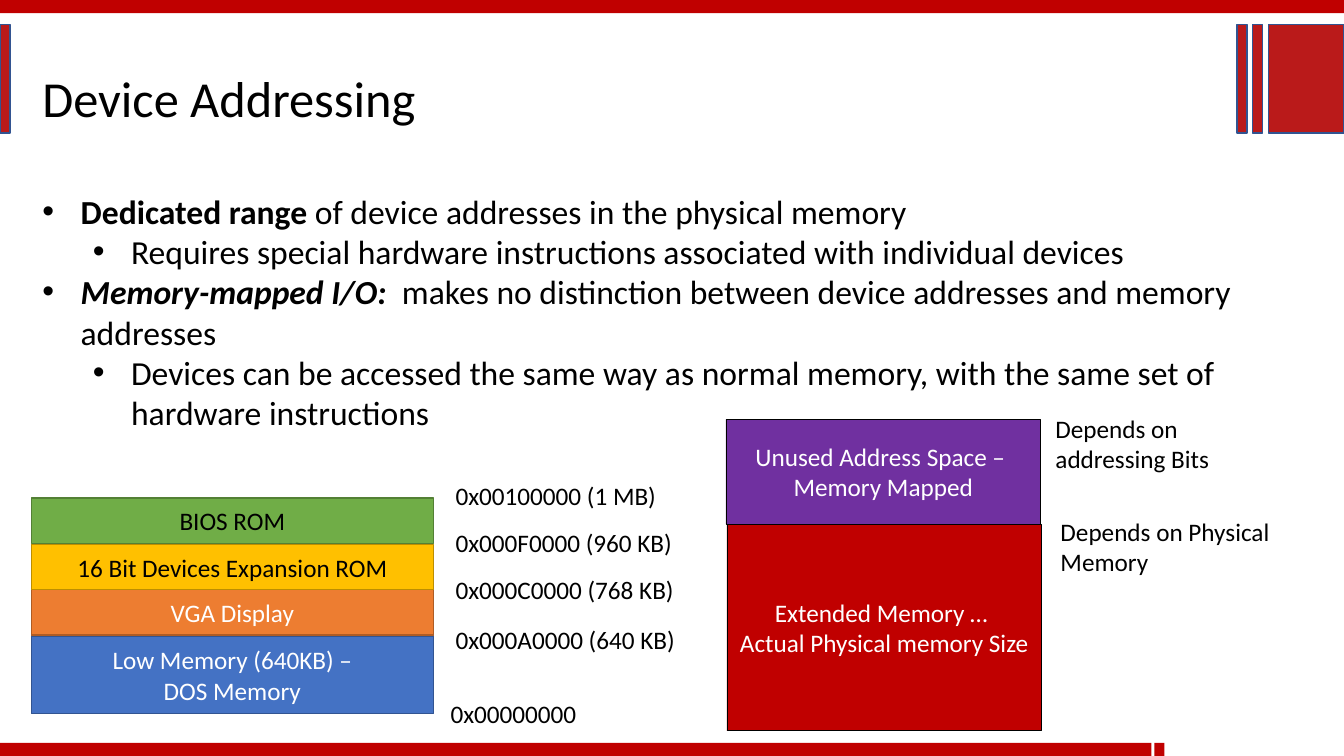
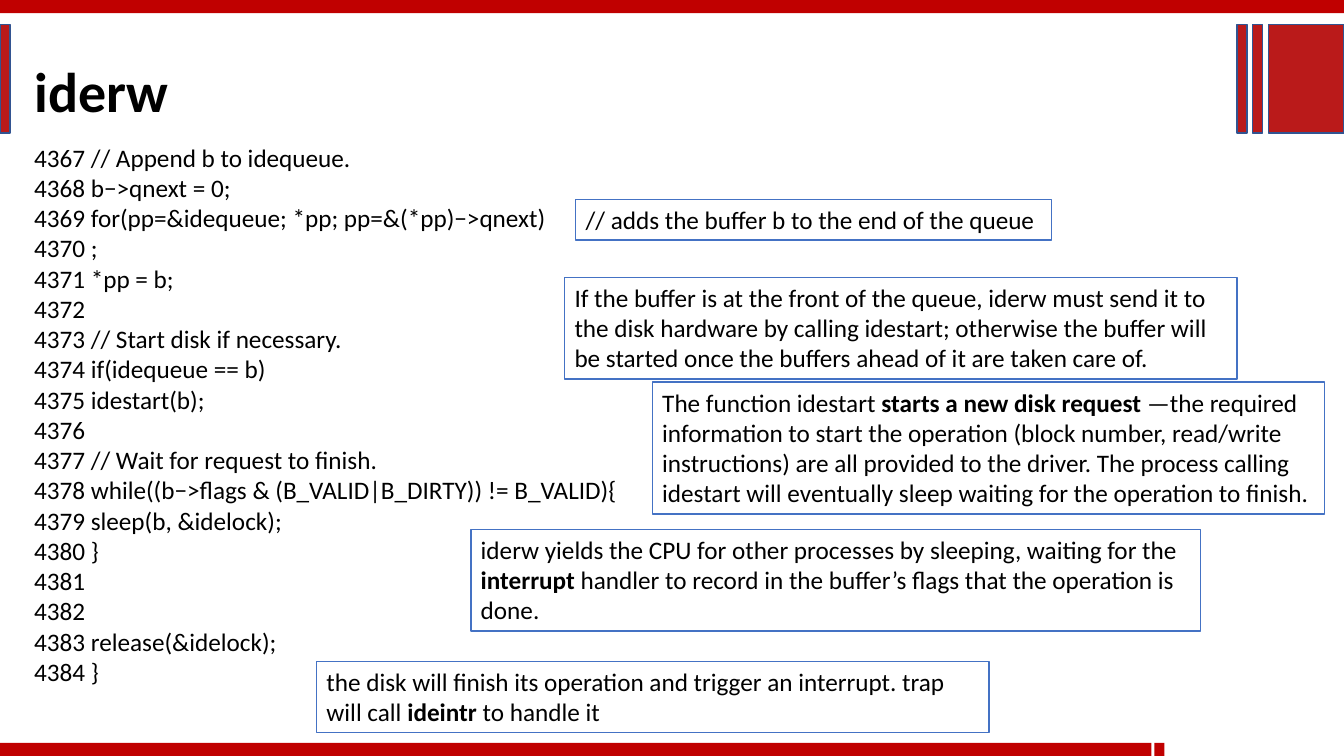
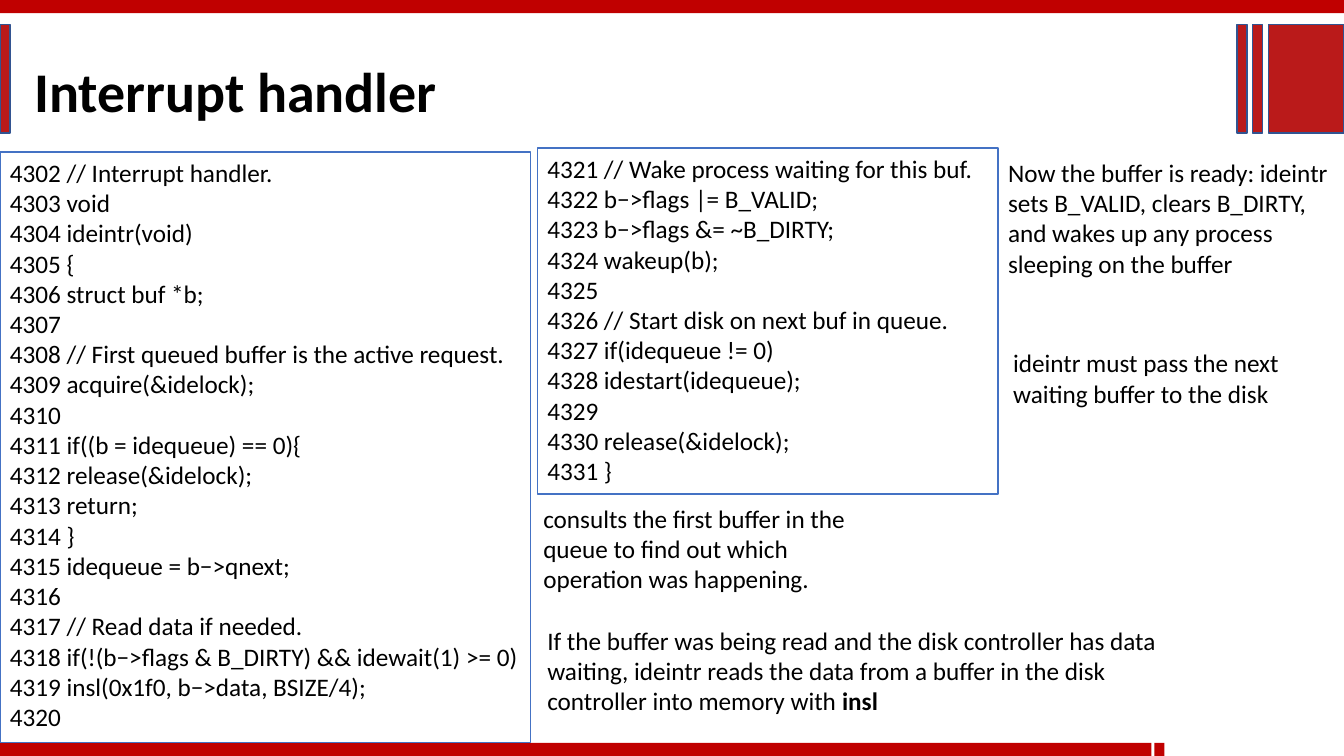
import pptx
import pptx.util
import pptx.oxml.ns
import pptx.dml.color
import pptx.enum.shapes
import pptx.enum.text
import lxml.etree

Inches = pptx.util.Inches
Pt = pptx.util.Pt
Shape = pptx.enum.shapes.MSO_SHAPE
Align = pptx.enum.text.PP_ALIGN
Anchor = pptx.enum.text.MSO_ANCHOR
Fit = pptx.enum.text.MSO_AUTO_SIZE

HUES = {
    "band": "C00000", "block": "BA1A1A", "edge": "325491",
    "ink": "000000", "paper": "FFFFFF", "blue": "4472C4",
    "orange": "ED7D31", "rust": "AF5C24", "gold": "FFC000",
    "ochre": "BD8E00", "green": "70AD47", "moss": "538035",
    "purple": "7030A0",
}


def hue(name):
    return pptx.dml.color.RGBColor.from_string(HUES[name])


def number(start, lines):
    return [f"{num} {line}".rstrip() for num, line in enumerate(lines, start)]


class Deck:
    font = "Calibri"
    size = 18

    def __init__(self):
        self.show = pptx.Presentation()
        self.show.slide_width = Inches(13.33)
        self.show.slide_height = Inches(7.5)
        self.slide = None

    def page(self, layout):
        self.slide = self.show.slides.add_slide(self.show.slide_layouts[layout])
        self.rect((0, 0, 13.33, 0.13), "band")
        for left, width in ((0, 11.42), (11.45, 0.1)):
            self.rect((left, 7.37, width, 0.13), "band")
        for left, width in ((0, 0.1), (12.58, 0.75), (12.42, 0.1), (12.27, 0.1)):
            self.rect((left, 0.24, width, 1.08), "block", "edge")

    def rect(self, at, fill, line=None, weight=1):
        shape = self.slide.shapes.add_shape(Shape.RECTANGLE, *map(Inches, at))
        shape.shadow.inherit = False
        shape.fill.solid()
        shape.fill.fore_color.rgb = hue(fill)
        if line:
            shape.line.color.rgb = hue(line)
            shape.line.width = Pt(weight)
        else:
            shape.line.fill.background()
        return shape

    def put(self, frame, lines, size=None, color="ink", bold=False,
            align=Align.LEFT, anchor=Anchor.TOP):
        frame.word_wrap = True
        frame.auto_size = Fit.NONE
        frame.vertical_anchor = anchor
        for i, line in enumerate(lines):
            para = frame.add_paragraph() if i else frame.paragraphs[0]
            para.alignment = align
            para.space_before = Pt(0)
            para.font.name = self.font
            para.font.size = Pt(size or self.size)
            para.font.bold = bold
            para.font.color.rgb = hue(color)
            for part in [line] if isinstance(line, str) else line:
                words, marks = (part, "") if isinstance(part, str) else part
                run = para.add_run()
                run.text = words
                if "b" in marks:
                    run.font.bold = True
                if "i" in marks:
                    run.font.italic = True

    def place(self, shape, at):
        shape.left, shape.top, shape.width, shape.height = map(Inches, at)

    def title(self, text, at=(0.24, 0.51, 9.57, 0.77), size=40, bold=True):
        shape = self.slide.shapes.title
        self.place(shape, at)
        self.put(shape.text_frame, [text], size, bold=bold)

    def bullets(self, at, items):
        shape = self.slide.placeholders[1]
        self.place(shape, at)
        self.put(shape.text_frame, [line for _, line in items], 24)
        for para, (level, _) in zip(shape.text_frame.paragraphs, items):
            para.level = level
            props = para._p.get_or_add_pPr()
            props.set("marL", str(Inches(0.38 + 0.5 * level)))
            props.set("indent", str(Inches(-0.38)))
            mark = lxml.etree.Element(pptx.oxml.ns.qn("a:buChar"), char="•")
            face = lxml.etree.Element(pptx.oxml.ns.qn("a:buFont"), typeface="Arial")
            rest = props.find(pptx.oxml.ns.qn("a:defRPr"))
            rest.addprevious(face)
            rest.addprevious(mark)

    def text(self, at, *lines):
        shape = self.slide.shapes.add_textbox(*map(Inches, at))
        self.put(shape.text_frame, lines)

    def note(self, at, *lines):
        shape = self.rect(at, "paper", "blue")
        self.put(shape.text_frame, lines)

    def block(self, at, fill, line, color, *lines, weight=1):
        shape = self.rect(at, fill, line, weight)
        self.put(shape.text_frame, lines, color=color,
                 align=Align.CENTER, anchor=Anchor.MIDDLE)


deck = Deck()

deck.page(1)
deck.title("Device Addressing", (0.32, 0.62, 4, 0.71), 36, False)
deck.bullets((0.32, 1.84, 12.16, 2.52), [
    (0, [("Dedicated range ", "b"), "of device addresses in the physical memory"]),
    (1, "Requires special hardware instructions associated with individual devices"),
    (0, [("Memory-mapped I/O:", "bi"),
         "  makes no distinction between device addresses and memory addresses"]),
    (1, "Devices can be accessed the same way as normal memory, "
        "with the same set of hardware instructions"),
])
for top, height, fill, line, color, *lines in (
    (6.31, 0.77, "blue", "edge", "paper", "Low Memory (640KB) –", "DOS Memory"),
    (5.85, 0.45, "orange", "rust", "paper", "VGA Display"),
    (5.4, 0.45, "gold", "ochre", "ink", "16 Bit Devices Expansion ROM"),
    (4.94, 0.45, "green", "moss", "ink", "BIOS ROM"),
):
    deck.block((0.31, top, 3.99, height), fill, line, color, *lines)
for left, top, label in (
    (4.37, 6.88, "0x00000000"),
    (4.42, 6.14, "0x000A0000 (640 KB)"),
    (4.42, 5.65, "0x000C0000 (768 KB)"),
    (4.42, 5.18, "0x000F0000 (960 KB)"),
    (4.42, 4.72, "0x00100000 (1 MB)"),
):
    deck.text((left, top, 2.56, 0.4), label)
deck.block((7.21, 5.2, 3.12, 2.05), "band", "ink", "paper",
           "Extended Memory … ", "Actual Physical memory Size", weight=0.5)
deck.block((7.2, 4.16, 3.12, 1.04), "purple", "ink", "paper",
           "Unused Address Space – ", "Memory Mapped", weight=0.5)
deck.text((10.42, 5.07, 2.54, 0.71), "Depends on Physical Memory")
deck.text((10.37, 4.05, 2.54, 0.71), "Depends on addressing Bits")

deck.page(5)
deck.title("iderw")
deck.text((0.24, 1.36, 6.79, 5.55), *number(4367, [
    "// Append b to idequeue.",
    "b−>qnext = 0;",
    "for(pp=&idequeue; *pp; pp=&(*pp)−>qnext)",
    ";",
    "*pp = b;",
    "",
    "// Start disk if necessary.",
    "if(idequeue == b)",
    "idestart(b);",
    "",
    "// Wait for request to finish.",
    "while((b−>flags & (B_VALID|B_DIRTY)) != B_VALID){",
    "sleep(b, &idelock);",
    "}",
    "",
    "",
    "release(&idelock);",
    "}",
]))
deck.note((5.71, 1.98, 4.72, 0.4), "// adds the buffer b to the end of the queue")
deck.note((5.6, 2.75, 6.67, 1.01),
          "If the buffer is at the front of the queue, iderw must send it to the disk "
          "hardware by calling idestart; otherwise the buffer will be started once "
          "the buffers ahead of it are taken care of.")
deck.note((6.47, 3.79, 6.67, 1.31), [
    "The function idestart ", ("starts a new disk request ", "b"),
    "—the required information to start the operation (block number, read/write "
    "instructions) are all provided to the driver. The process calling idestart "
    "will eventually sleep waiting for the operation to finish."])
deck.note((4.67, 5.25, 7.24, 1.01), [
    "iderw yields the CPU for other processes by sleeping, waiting for the ",
    ("interrupt ", "b"),
    "handler to record in the buffer’s flags that the operation is done."])
deck.note((3.14, 6.56, 6.67, 0.71), [
    "the disk will finish its operation and trigger an interrupt. trap will call ",
    ("ideintr ", "b"), "to handle it"])

deck.page(5)
deck.title("Interrupt handler")
deck.note((0, 1.51, 5.26, 5.86), *number(4302, [
    "// Interrupt handler.",
    "void",
    "ideintr(void)",
    "{",
    "struct buf *b;",
    "",
    "// First queued buffer is the active request.",
    "acquire(&idelock);",
    "",
    "if((b = idequeue) == 0){",
    "release(&idelock);",
    "return;",
    "}",
    "idequeue = b−>qnext;",
    "",
    "// Read data if needed.",
    "if(!(b−>flags & B_DIRTY) && idewait(1) >= 0)",
    "insl(0x1f0, b−>data, BSIZE/4);",
    "",
]))
deck.note((5.33, 1.47, 4.57, 3.43), *number(4321, [
    "// Wake process waiting for this buf.",
    "b−>flags |= B_VALID;",
    "b−>flags &= ~B_DIRTY;",
    "wakeup(b);",
    "",
    "// Start disk on next buf in queue.",
    "if(idequeue != 0)",
    "idestart(idequeue);",
    "",
    "release(&idelock);",
    "}",
]))
deck.text((5.29, 4.94, 3.47, 1.01),
          "consults the first buffer in the queue to find out which operation was happening.")
deck.text((5.33, 6.15, 6.67, 1.01), [
    "If the buffer was being read and the disk controller has data waiting, ideintr "
    "reads the data from a buffer in the disk controller into memory with ",
    ("insl", "b")])
deck.text((9.9, 1.51, 3.43, 1.31),
          "Now the buffer is ready: ideintr sets B_VALID, clears B_DIRTY, "
          "and wakes up any process sleeping on the buffer")
deck.text((9.95, 3.4, 3.26, 0.71),
          "ideintr must pass the next waiting buffer to the disk")

deck.show.save("out.pptx")
